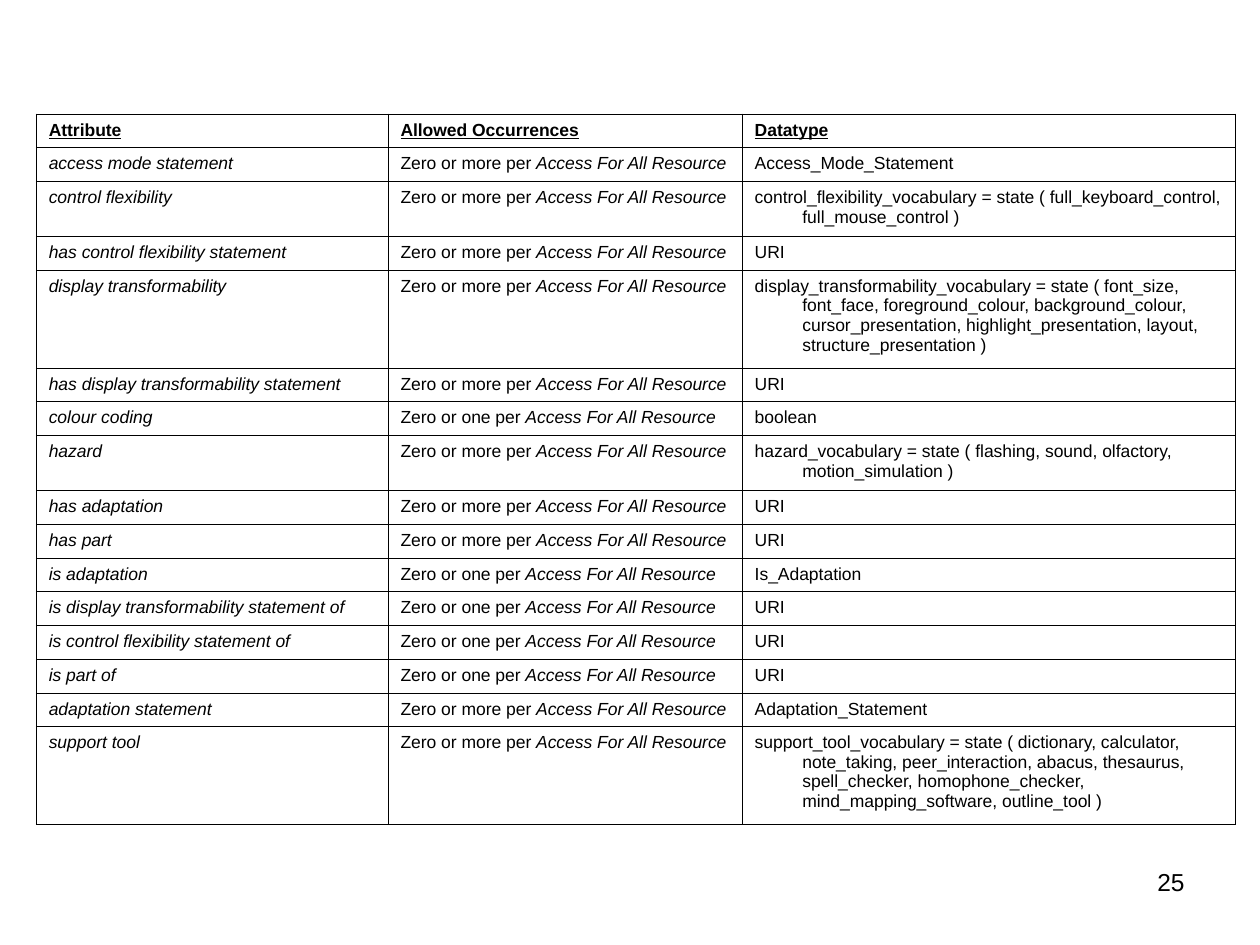
"""Build a slide with the attribute table of an Access For All Resource."""
import lxml.etree
import pptx
import pptx.dml.color
import pptx.enum.text
import pptx.oxml
import pptx.oxml.ns
import pptx.util

Cm = pptx.util.Cm
Pt = pptx.util.Pt
BLACK = pptx.dml.color.RGBColor(0x00, 0x00, 0x00)

HEADERS = ["Attribute", "Allowed Occurrences", "Datatype"]
ROWS = [
    ("access mode statement", "more", "Access_Mode_Statement"),
    ("control flexibility", "more",
     "control_flexibility_vocabulary = state ( full_keyboard_control, full_mouse_control )"),
    ("has control flexibility statement", "more", "URI"),
    ("display transformability", "more",
     "display_transformability_vocabulary = state ( font_size, font_face, "
     "foreground_colour, background_colour, cursor_presentation, "
     "highlight_presentation, layout, structure_presentation )"),
    ("has display transformability statement", "more", "URI"),
    ("colour coding", "one", "boolean"),
    ("hazard", "more",
     "hazard_vocabulary = state ( flashing, sound, olfactory, motion_simulation )"),
    ("has adaptation", "more", "URI"),
    ("has part", "more", "URI"),
    ("is adaptation", "one", "Is_Adaptation"),
    ("is display transformability statement of", "one", "URI"),
    ("is control flexibility statement of", "one", "URI"),
    ("is part of", "one", "URI"),
    ("adaptation statement", "more", "Adaptation_Statement"),
    ("support tool", "more",
     "support_tool_vocabulary = state ( dictionary, calculator, note_taking, "
     "peer_interaction, abacus, thesaurus, spell_checker, homophone_checker, "
     "mind_mapping_software, outline_tool )"),
]
COL_WIDTHS = [7.09, 7.14, 9.94]
ROW_HEIGHT = 0.68
TALL_ROWS = {2: 1.11, 4: 1.97, 7: 1.11, 15: 1.97}


def add_run(p, text, size=10, bold=False, italic=False, underline=False):
    r = p.add_run()
    r.text = text
    r.font.name = "Arial"
    r.font.size = Pt(size)
    r.font.bold = bold
    r.font.italic = italic
    r.font.underline = underline
    r.font.color.rgb = BLACK


def format_cell(cell):
    tc_pr = cell._tc.get_or_add_tcPr()
    for side in ("lnL", "lnR", "lnT", "lnB"):
        ln = lxml.etree.SubElement(tc_pr, pptx.oxml.ns.qn(f"a:{side}"), w=str(Pt(0.45)))
        fill = lxml.etree.SubElement(ln, pptx.oxml.ns.qn("a:solidFill"))
        lxml.etree.SubElement(fill, pptx.oxml.ns.qn("a:srgbClr"), val=str(BLACK))
    cell.fill.background()
    p_pr = cell.text_frame.paragraphs[0]._p.get_or_add_pPr()
    p_pr.set("marL", str(Cm(0.96)))
    p_pr.set("indent", str(-Cm(0.96)))


prs = pptx.Presentation()
prs.slide_width = Cm(25.4)
prs.slide_height = Cm(19.05)
s = prs.slides.add_slide(prs.slide_layouts[6])

heights = [TALL_ROWS.get(i, ROW_HEIGHT) for i in range(len(ROWS) + 1)]
frame = s.shapes.add_table(len(heights), len(COL_WIDTHS), Cm(0.73), Cm(2.3),
                           Cm(sum(COL_WIDTHS)), Cm(sum(heights)))
table = frame.table
table.first_row = False
table.horz_banding = False
for col, width in zip(table.columns, COL_WIDTHS):
    col.width = Cm(width)
for row, height in zip(table.rows, heights):
    row.height = Cm(height)
for cell in table.iter_cells():
    format_cell(cell)

for cell, header in zip(table.rows[0].cells, HEADERS):
    add_run(cell.text_frame.paragraphs[0], header, bold=True, underline=True)
for i, (attribute, limit, datatype) in enumerate(ROWS, start=1):
    name, occurs, kind = [c.text_frame.paragraphs[0] for c in table.rows[i].cells]
    add_run(name, attribute, italic=True)
    add_run(occurs, f"Zero or {limit} per ")
    add_run(occurs, "Access For All Resource", italic=True)
    add_run(kind, datatype)

sp = s.shapes.add_textbox(Cm(18.2), Cm(17.35), Cm(5.93), Cm(1.32))
tf = sp.text_frame
tf.word_wrap = True
p = tf.paragraphs[0]
p.alignment = pptx.enum.text.PP_ALIGN.RIGHT
add_run(p, "25", size=14)

prs.save("out.pptx")
